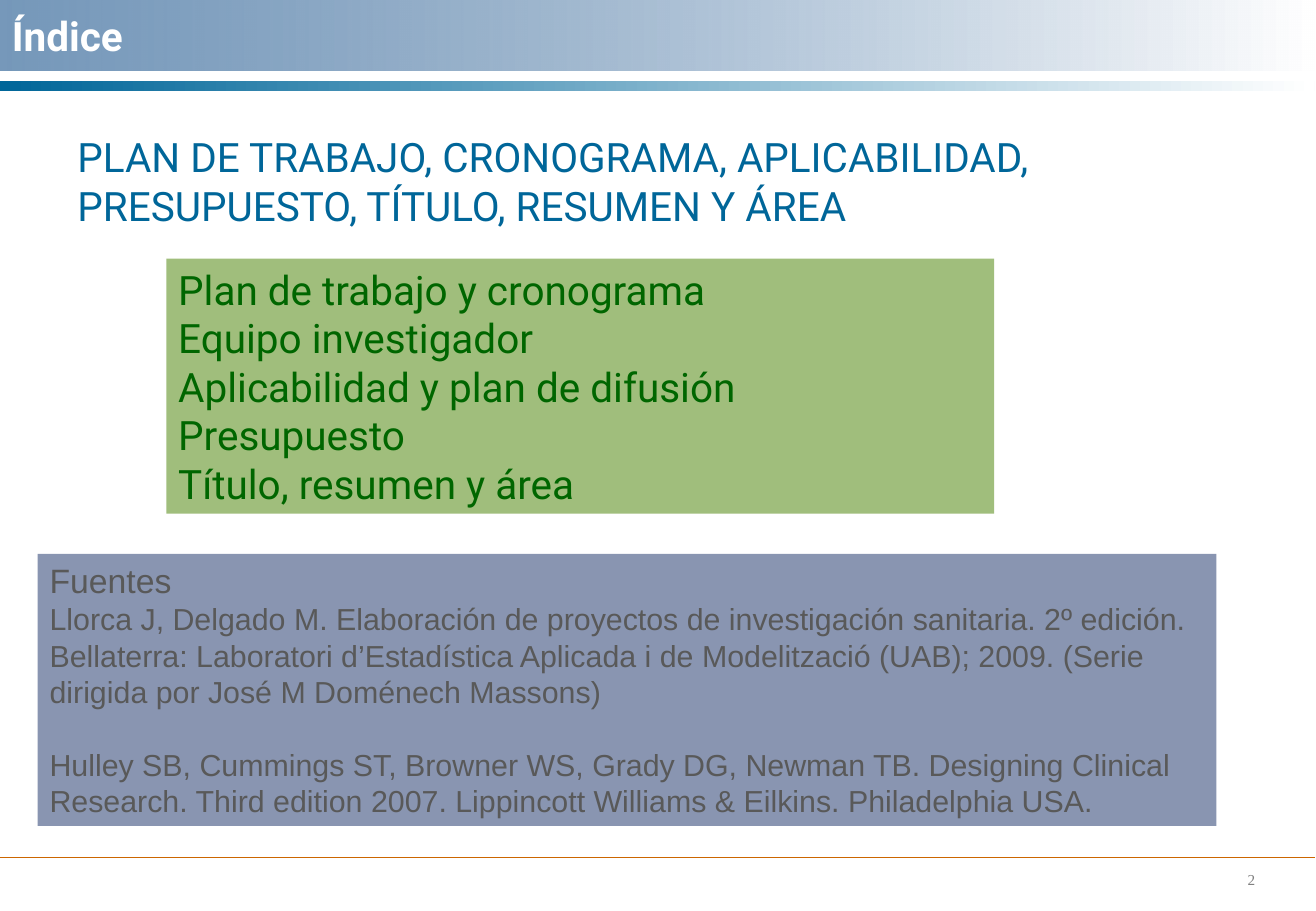
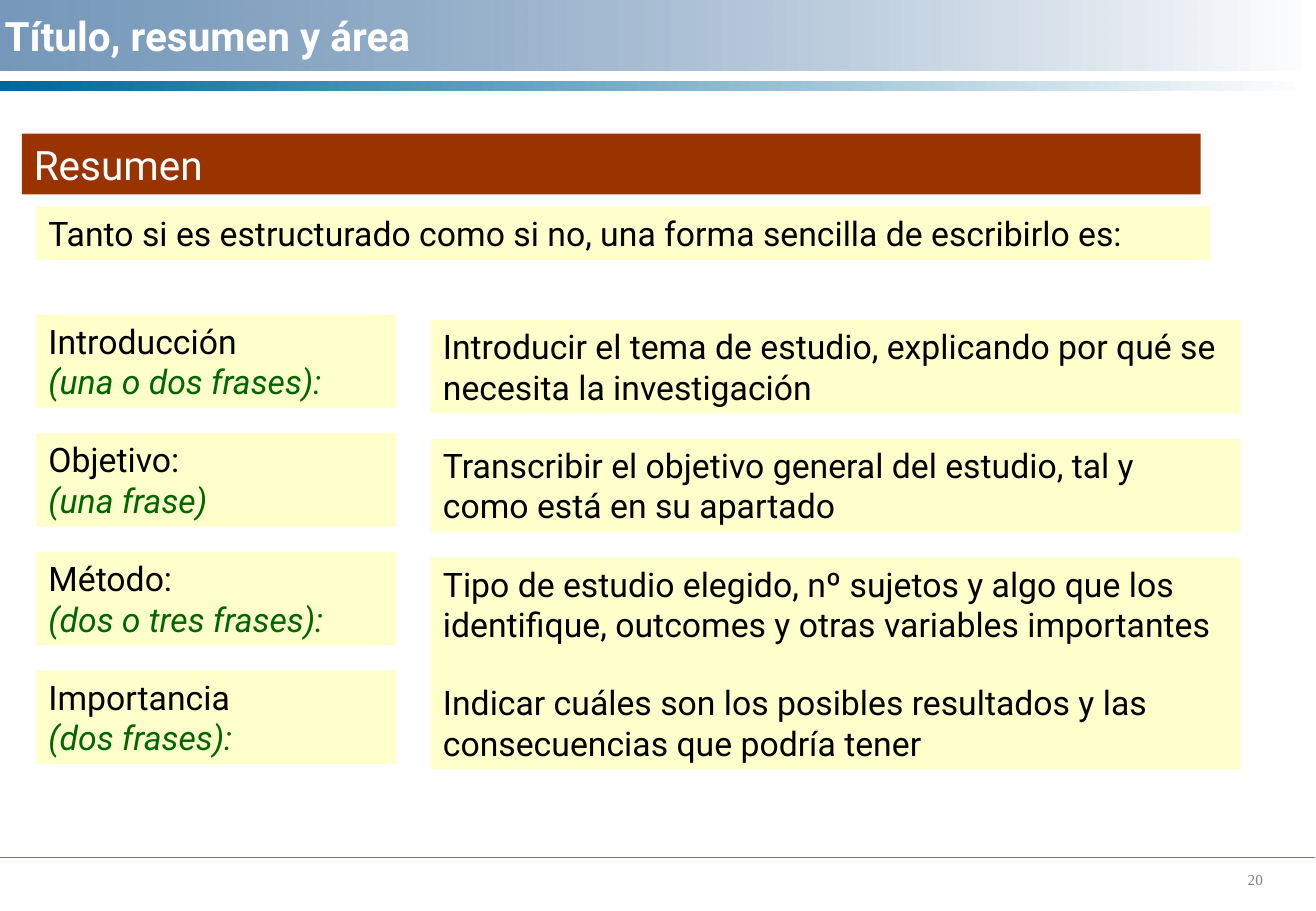
from dataclasses import dataclass
from typing import Optional

from lxml import etree
from pptx import Presentation
from pptx.dml.color import RGBColor
from pptx.enum import shapes, text
from pptx.oxml.ns import qn
from pptx.util import Inches, Pt

WIDE, HIGH = Inches(10.84), Inches(7.5)
LEAD = 1.2
ROBOTO, ARIAL, TIMES = "Roboto", "Arial", "Times New Roman"
HUES = {
    "band": "336699",
    "blue": "006699",
    "rule": "CC6600",
    "white": "FFFFFF",
    "black": "000000",
    "green": "006600",
    "leaf": "A0BE7C",
    "slate": "8995B1",
    "ink": "595959",
    "gray": "808080",
    "rust": "993300",
    "cream": "FFFFCC",
}


@dataclass(frozen=True)
class Area:
    """Left, top, width and height in percent of the slide."""
    left: float
    top: float
    width: float
    height: float

    def emu(self) -> tuple[int, int, int, int]:
        return (
            int(WIDE * self.left / 100),
            int(HIGH * self.top / 100),
            int(WIDE * self.width / 100),
            int(HIGH * self.height / 100),
        )


@dataclass(frozen=True)
class Line:
    words: str
    size: int = 20
    hue: str = "black"
    font: str = ROBOTO
    bold: bool = False
    slant: bool = False
    gap: float = 0


@dataclass(frozen=True)
class Step:
    name: str
    length: str
    advice: str
    height: float = 10.27


BAND = Area(0, 0, 99.9, 7.73)
STRIPE = Area(0, 8.93, 99.9, 1.07)
NUMBER = Area(93.91, 94.93, 5.9, 3.33)
RULE_TOP = 94.13
ROW_TOP, ROW_STEP, ROW_DROP = 34.53, 13.02, 0.6

TOPICS = [
    "Plan de trabajo y cronograma",
    "Equipo investigador",
    "Aplicabilidad y plan de difusión",
    "Presupuesto",
    "Título, resumen y área",
]
HEADING = [
    "PLAN DE TRABAJO, CRONOGRAMA, APLICABILIDAD,",
    "PRESUPUESTO, TÍTULO, RESUMEN Y ÁREA",
]
SOURCES = [
    Line("Fuentes", 20, "ink", ARIAL),
    Line(
        "Llorca J, Delgado M. Elaboración de proyectos de investigación "
        "sanitaria. 2º edición. Bellaterra: Laboratori d’Estadística Aplicada "
        "i de Modelització (UAB); 2009. (Serie dirigida por José M Doménech "
        "Massons)",
        18, "ink", ARIAL,
    ),
    Line(
        "Hulley SB, Cummings ST, Browner WS, Grady DG, Newman TB. Designing "
        "Clinical Research. Third edition 2007. Lippincott Williams & Eilkins. "
        "Philadelphia USA.",
        18, "ink", ARIAL, gap=18 * LEAD,
    ),
]
STEPS = [
    Step("Introducción", "(una o dos frases):",
         "Introducir el tema de estudio, explicando por qué se necesita "
         "la investigación"),
    Step("Objetivo:", "(una frase)",
         "Transcribir el objetivo general del estudio, tal y como está en "
         "su apartado"),
    Step("Método:", "(dos o tres frases):",
         "Tipo de estudio elegido, nº sujetos y algo que los identifique, "
         "outcomes y otras variables importantes", 14.67),
    Step("Importancia", "(dos frases):",
         "Indicar cuáles son los posibles resultados y las consecuencias "
         "que podría tener"),
]


def tint(name: str) -> RGBColor:
    return RGBColor.from_string(HUES[name])


def add_rect(slide, area: Area):
    rect = slide.shapes.add_shape(shapes.MSO_SHAPE.RECTANGLE, *area.emu())
    rect.shadow.inherit = False
    rect.line.fill.background()
    return rect


def add_fade(slide, area: Area, hue: str, alpha: int = 100) -> None:
    fill = add_rect(slide, area).fill
    fill.gradient()
    fill.gradient_angle = 0
    for stop, name, place in zip(fill.gradient_stops, (hue, "white"), (0, 1)):
        stop.color.rgb = tint(name)
        stop.position = place
    if alpha < 100:
        color = fill._fill._gradFill.find(".//" + qn("a:srgbClr"))
        etree.SubElement(color, qn("a:alpha")).set("val", str(alpha * 1000))


def add_text(slide, area: Area, lines: list[Line], fill: Optional[str] = None,
             anchor=text.MSO_ANCHOR.TOP) -> None:
    if fill:
        box = add_rect(slide, area)
        box.fill.solid()
        box.fill.fore_color.rgb = tint(fill)
    else:
        box = slide.shapes.add_textbox(*area.emu())
    frame = box.text_frame
    frame.word_wrap = True
    frame.vertical_anchor = anchor
    for index, line in enumerate(lines):
        para = frame.add_paragraph() if index else frame.paragraphs[0]
        para.alignment = text.PP_ALIGN.LEFT
        para.line_spacing = Pt(line.size * LEAD)
        if line.gap:
            para.space_before = Pt(line.gap)
        run = para.add_run()
        run.text = line.words
        run.font.name = line.font
        run.font.size = Pt(line.size)
        run.font.bold = line.bold
        run.font.italic = line.slant
        run.font.color.rgb = tint(line.hue)


def add_rule(slide) -> None:
    top = int(HIGH * RULE_TOP / 100)
    rule = slide.shapes.add_connector(
        shapes.MSO_CONNECTOR.STRAIGHT, 0, top, int(WIDE * 0.999), top)
    rule.line.color.rgb = tint("rule")
    rule.line.width = Pt(0.75)
    etree.SubElement(rule._element.spPr, qn("a:effectLst"))


def add_page(deck, title: str, number: int, area: Area):
    slide = deck.slides.add_slide(deck.slide_layouts[6])
    add_fade(slide, BAND, "band", 67)
    add_text(slide, NUMBER, [Line(str(number), 9, "gray", TIMES)])
    add_rule(slide)
    add_fade(slide, STRIPE, "blue")
    add_text(slide, area, [Line(title, 24, "white", bold=True)],
             anchor=text.MSO_ANCHOR.MIDDLE)
    return slide


def add_index(deck) -> None:
    slide = add_page(deck, "Índice", 2, Area(0, 0, 86.07, 7.73))
    add_text(slide, Area(12.64, 28.4, 62.92, 28),
             [Line(topic, 24, "green") for topic in TOPICS], "leaf")
    add_text(slide, Area(4.98, 13.87, 84.96, 12),
             [Line(words, 24, "blue") for words in HEADING])
    add_text(slide, Area(2.86, 60.8, 89.58, 29.87), SOURCES, "slate")


def add_summary(deck) -> None:
    slide = add_page(deck, TOPICS[-1], 20, Area(-0.55, 0, 90.96, 7.73))
    add_text(slide, Area(1.66, 14.67, 89.58, 6.67),
             [Line("Resumen", 24, "white")], "rust")
    add_text(slide, Area(2.77, 22.67, 89.21, 5.87),
             [Line("Tanto si es estructurado como si no, una forma sencilla "
                   "de escribirlo es:")], "cream")
    for row, step in enumerate(STEPS):
        top = ROW_TOP + row * ROW_STEP
        add_text(slide, Area(2.77, top, 27.31, 10.27),
                 [Line(step.name), Line(step.length, hue="green", slant=True)],
                 "cream")
        add_text(slide, Area(32.75, top + ROW_DROP, 61.53, step.height),
                 [Line(step.advice)], "cream")


def main() -> None:
    deck = Presentation()
    deck.slide_width, deck.slide_height = WIDE, HIGH
    add_index(deck)
    add_summary(deck)
    deck.save("out.pptx")


if __name__ == "__main__":
    main()
